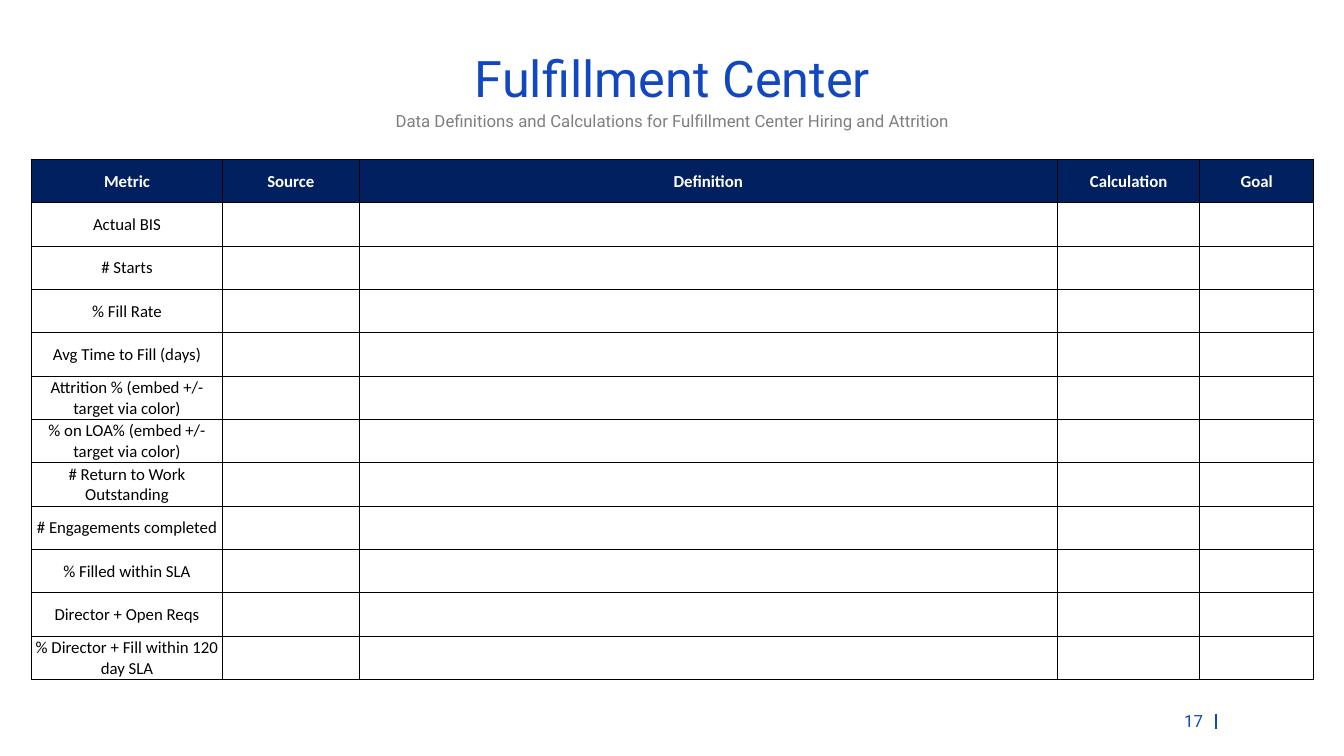
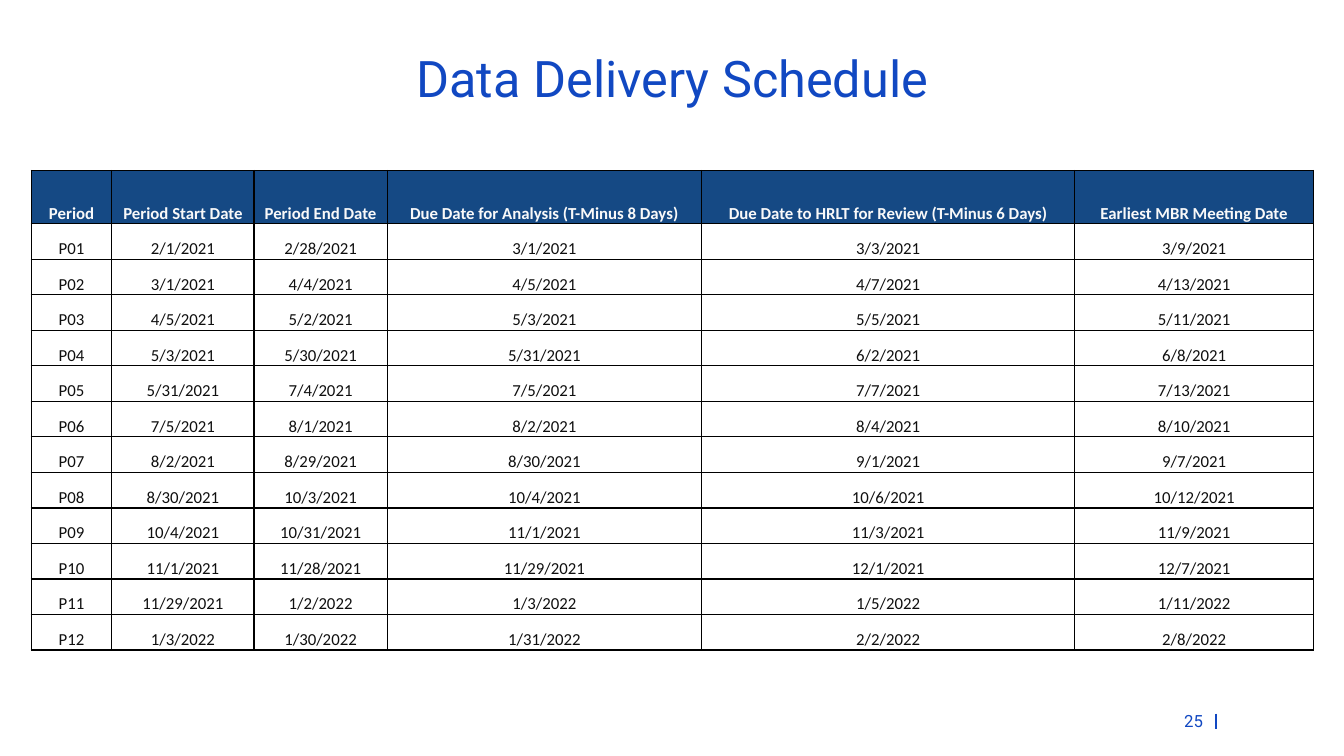
from pptx import Presentation, util as u
from pptx.dml.color import RGBColor
from pptx.enum import shapes, text
from pptx.oxml.ns import qn
from lxml import etree

BLUE, GRAY, BLACK, WHITE = "1148C2", "7F7F7F", "000000", "FFFFFF"
LEFT, WIDE = 31, 1272
MID, END = text.PP_ALIGN.CENTER, text.PP_ALIGN.RIGHT
CORE, BASE = text.MSO_ANCHOR.MIDDLE, text.MSO_ANCHOR.BOTTOM

HEADS = ["Metric", "Source", "Definition", "Calculation", "Goal"]
METRICS = [
    "Actual BIS",
    "# Starts",
    "% Fill Rate",
    "Avg Time to Fill (days)",
    "Attrition % (embed +/- target via color)",
    "% on LOA% (embed +/- target via color)",
    "# Return to Work Outstanding",
    "# Engagements completed",
    "% Filled within SLA",
    "Director + Open Reqs",
    "% Director + Fill within 120 day SLA",
]
DATES = [
    ["Period", "Period Start Date", "Period End Date",
     "Due Date for Analysis (T-Minus 8 Days)",
     "Due Date to HRLT for Review (T-Minus 6 Days)",
     "Earliest MBR Meeting Date"],
    ["P01", "2/1/2021", "2/28/2021", "3/1/2021", "3/3/2021", "3/9/2021"],
    ["P02", "3/1/2021", "4/4/2021", "4/5/2021", "4/7/2021", "4/13/2021"],
    ["P03", "4/5/2021", "5/2/2021", "5/3/2021", "5/5/2021", "5/11/2021"],
    ["P04", "5/3/2021", "5/30/2021", "5/31/2021", "6/2/2021", "6/8/2021"],
    ["P05", "5/31/2021", "7/4/2021", "7/5/2021", "7/7/2021", "7/13/2021"],
    ["P06", "7/5/2021", "8/1/2021", "8/2/2021", "8/4/2021", "8/10/2021"],
    ["P07", "8/2/2021", "8/29/2021", "8/30/2021", "9/1/2021", "9/7/2021"],
    ["P08", "8/30/2021", "10/3/2021", "10/4/2021", "10/6/2021", "10/12/2021"],
    ["P09", "10/4/2021", "10/31/2021", "11/1/2021", "11/3/2021", "11/9/2021"],
    ["P10", "11/1/2021", "11/28/2021", "11/29/2021", "12/1/2021", "12/7/2021"],
    ["P11", "11/29/2021", "1/2/2022", "1/3/2022", "1/5/2022", "1/11/2022"],
    ["P12", "1/3/2022", "1/30/2022", "1/31/2022", "2/2/2022", "2/8/2022"],
]


def px(n):
    return u.Emu(round(n * 9144))


def rgb(tone):
    return RGBColor.from_string(tone)


def assign(item, vals):
    for key, val in vals.items():
        setattr(item, key, val)


def write(frame, words, tone, size=12, face="Roboto", bold=False, align=MID):
    para = frame.paragraphs[0]
    para.alignment = align
    run = para.add_run()
    run.text = words
    assign(run.font, {"size": u.Pt(size), "name": face, "bold": bold})
    run.font.color.rgb = rgb(tone)
    return para


def place(shape, left, top, width, height):
    assign(shape, {"left": px(left), "top": px(top),
                   "width": px(width), "height": px(height)})


def footer(slide, page):
    box = slide.shapes.add_textbox(px(1124), px(700), px(79), px(30))
    assign(box.text_frame, {"word_wrap": True, "vertical_anchor": CORE})
    write(box.text_frame, page, BLUE, align=END)
    bar = slide.shapes.add_connector(
        shapes.MSO_CONNECTOR.STRAIGHT, px(1206), px(708), px(1206), px(723))
    bar.line.width = u.Pt(1)
    bar.line.color.rgb = rgb(BLUE)
    etree.SubElement(bar._element.spPr, qn("a:effectLst"))


def start(deck, layout, title, page):
    slide = deck.slides.add_slide(deck.slide_layouts[layout])
    head = slide.shapes.title
    place(head, LEFT, 51, WIDE, 60)
    assign(head.text_frame, {"vertical_anchor": CORE,
                             "auto_size": text.MSO_AUTO_SIZE.NONE})
    write(head.text_frame, title, BLUE, 36).line_spacing = 0.9
    footer(slide, page)
    return slide


def lead(slide, words):
    body = slide.placeholders[1]
    place(body, LEFT, 105, WIDE, 53)
    body.text_frame.auto_size = text.MSO_AUTO_SIZE.NONE
    para = write(body.text_frame, words, GRAY)
    para.space_before = u.Pt(0)
    props = para._p.get_or_add_pPr()
    props.set("marL", "0")
    props.set("indent", "0")
    etree.SubElement(props, qn("a:buNone"))


def border(cell, width):
    props = cell._tc.get_or_add_tcPr()
    for side in ("lnL", "lnR", "lnT", "lnB"):
        line = etree.SubElement(props, qn("a:" + side), w=str(u.Pt(width)))
        fill = etree.SubElement(line, qn("a:solidFill"))
        etree.SubElement(fill, qn("a:srgbClr"), val=BLACK)


def table(slide, top, tall, first, cols, rows, look):
    grid = slide.shapes.add_table(len(rows), len(cols), px(LEFT), px(top),
                                  px(WIDE), px(tall)).table
    assign(grid, {"first_row": False, "horz_banding": False})
    for col, width in zip(grid.columns, cols):
        col.width = px(width)
    for row in grid.rows:
        row.height = px((tall - first) / (len(rows) - 1))
    grid.rows[0].height = px(first)
    for r, row in enumerate(rows):
        for c, words in enumerate(row):
            cell = grid.cell(r, c)
            assign(cell, look["cell"])
            border(cell, look["line"])
            if r:
                cell.fill.background()
            else:
                cell.fill.solid()
                cell.fill.fore_color.rgb = rgb(look["band"])
            if words:
                tone = look["text"] if r else look["head"]
                write(cell.text_frame, words, tone, 12, "Calibri", r == 0)


def main():
    deck = Presentation()
    assign(deck, {"slide_width": px(1333), "slide_height": px(750)})

    slide = start(deck, 1, "Fulfillment Center", "17")
    lead(slide, "Data Definitions and Calculations for "
                "Fulfillment Center Hiring and Attrition")
    rows = [HEADS] + [[name] + [""] * (len(HEADS) - 1) for name in METRICS]
    table(slide, 158, 516, 43, [190, 135, 693, 141, 113], rows, {
        "band": "002060", "head": WHITE, "text": BLACK, "line": 0.5,
        "cell": {"vertical_anchor": CORE, "margin_left": px(1),
                 "margin_right": px(1), "margin_top": px(1),
                 "margin_bottom": 0}})

    slide = start(deck, 5, "Data Delivery Schedule", "25")
    table(slide, 169, 476, 53, [80, 141, 132, 312, 370, 237], DATES, {
        "band": "154984", "head": "F9F9F9", "text": "0F0F0F", "line": 1,
        "cell": {"vertical_anchor": BASE, "margin_left": px(7),
                 "margin_right": px(7), "margin_top": 0,
                 "margin_bottom": 0}})

    deck.save("out.pptx")


if __name__ == "__main__":
    main()
